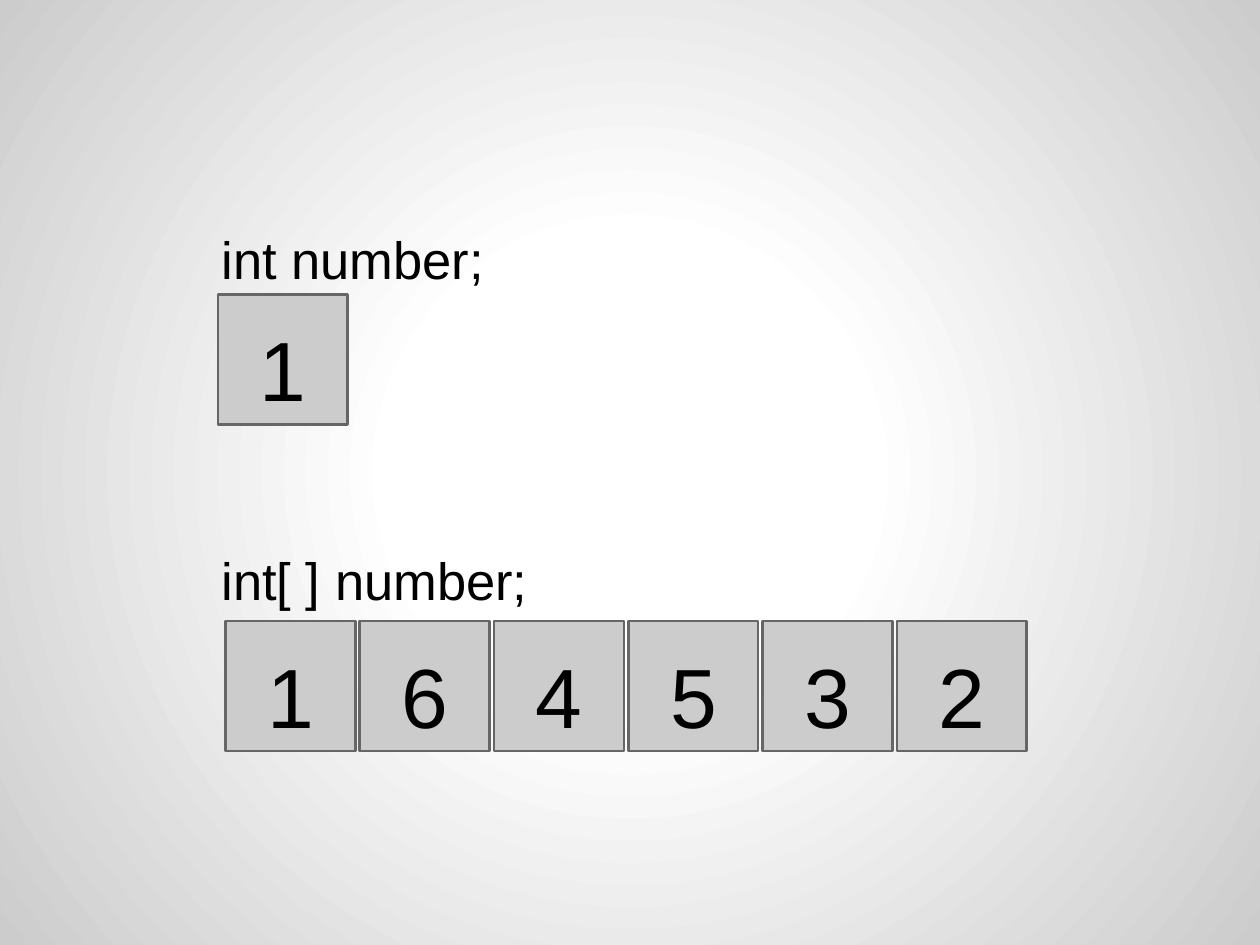
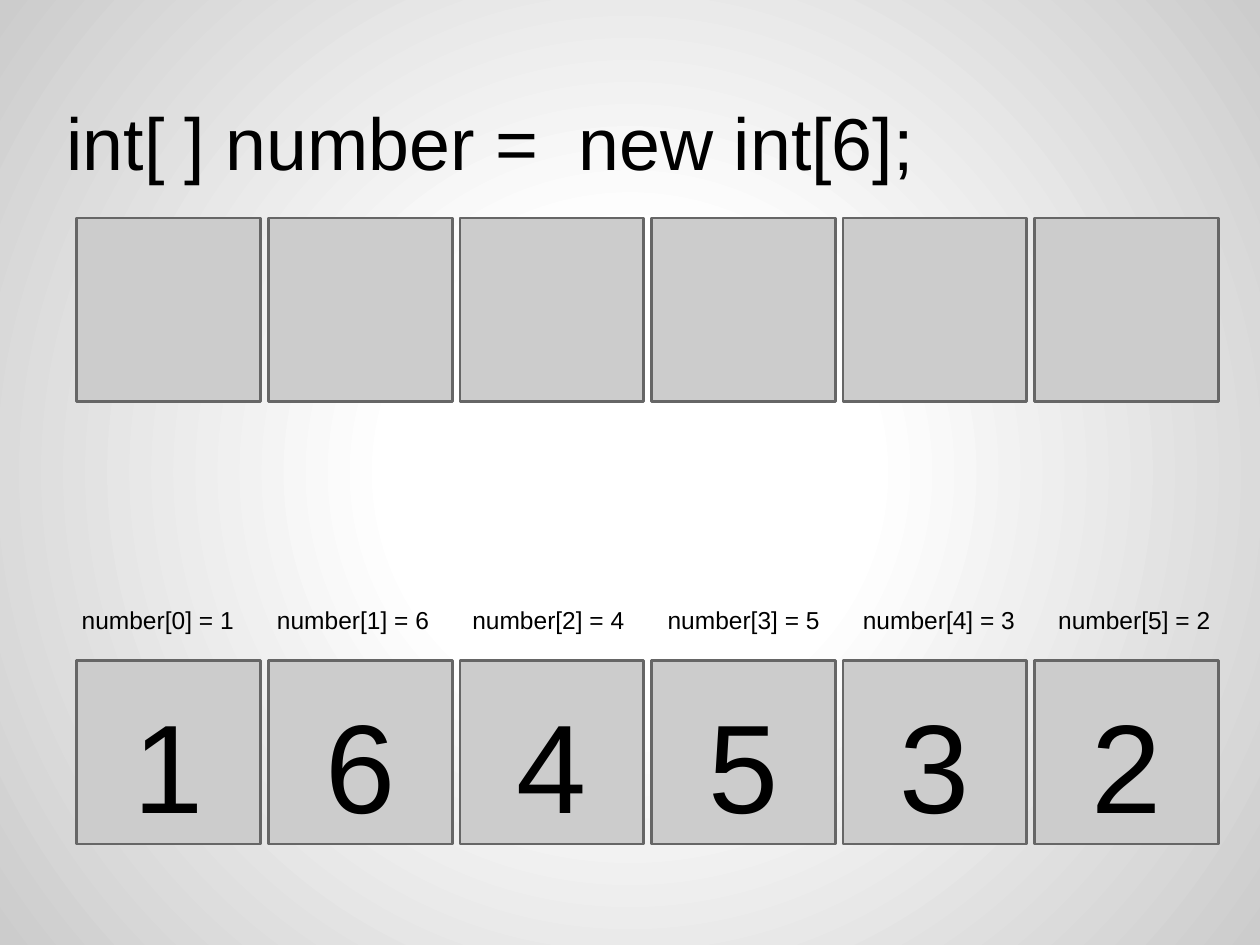
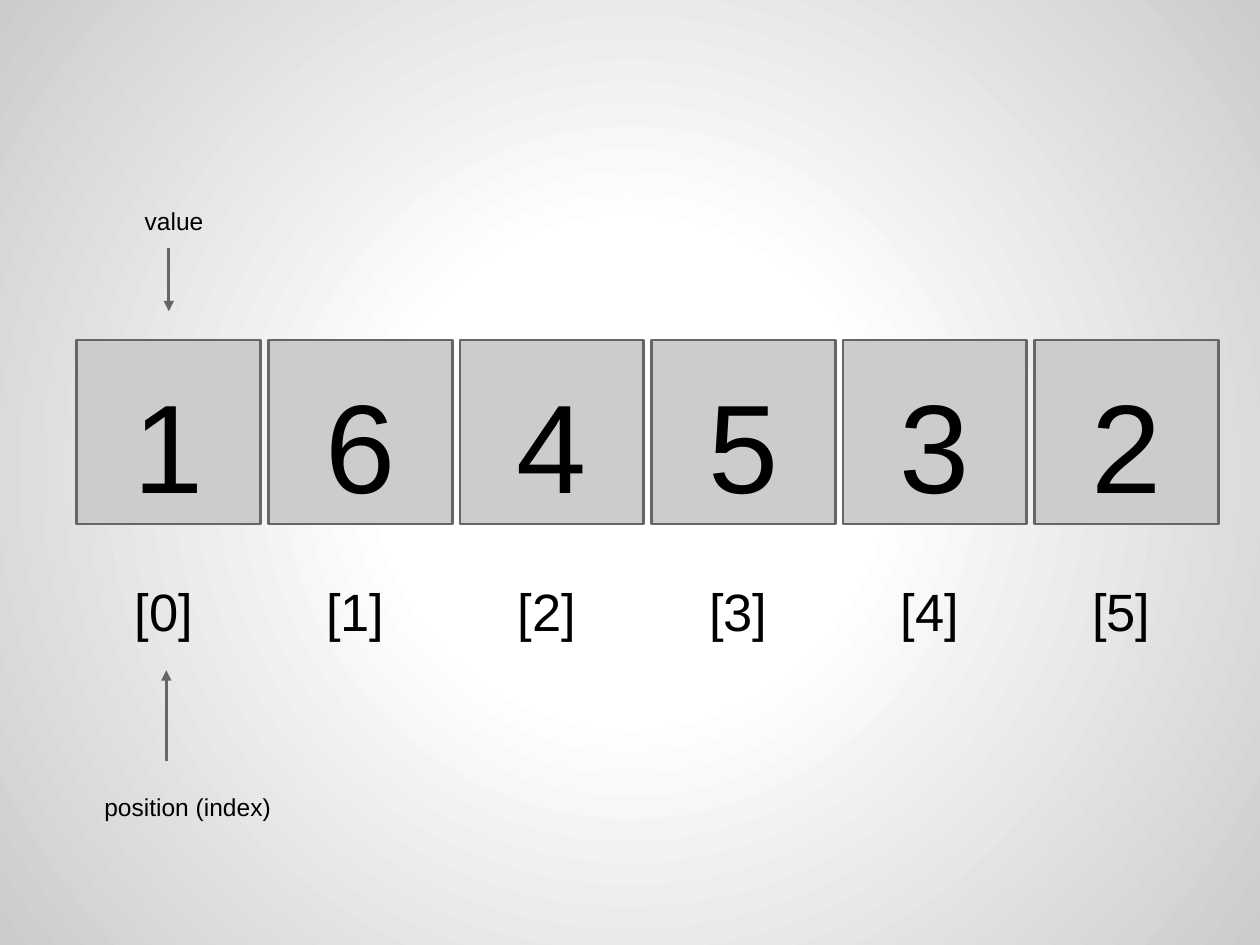
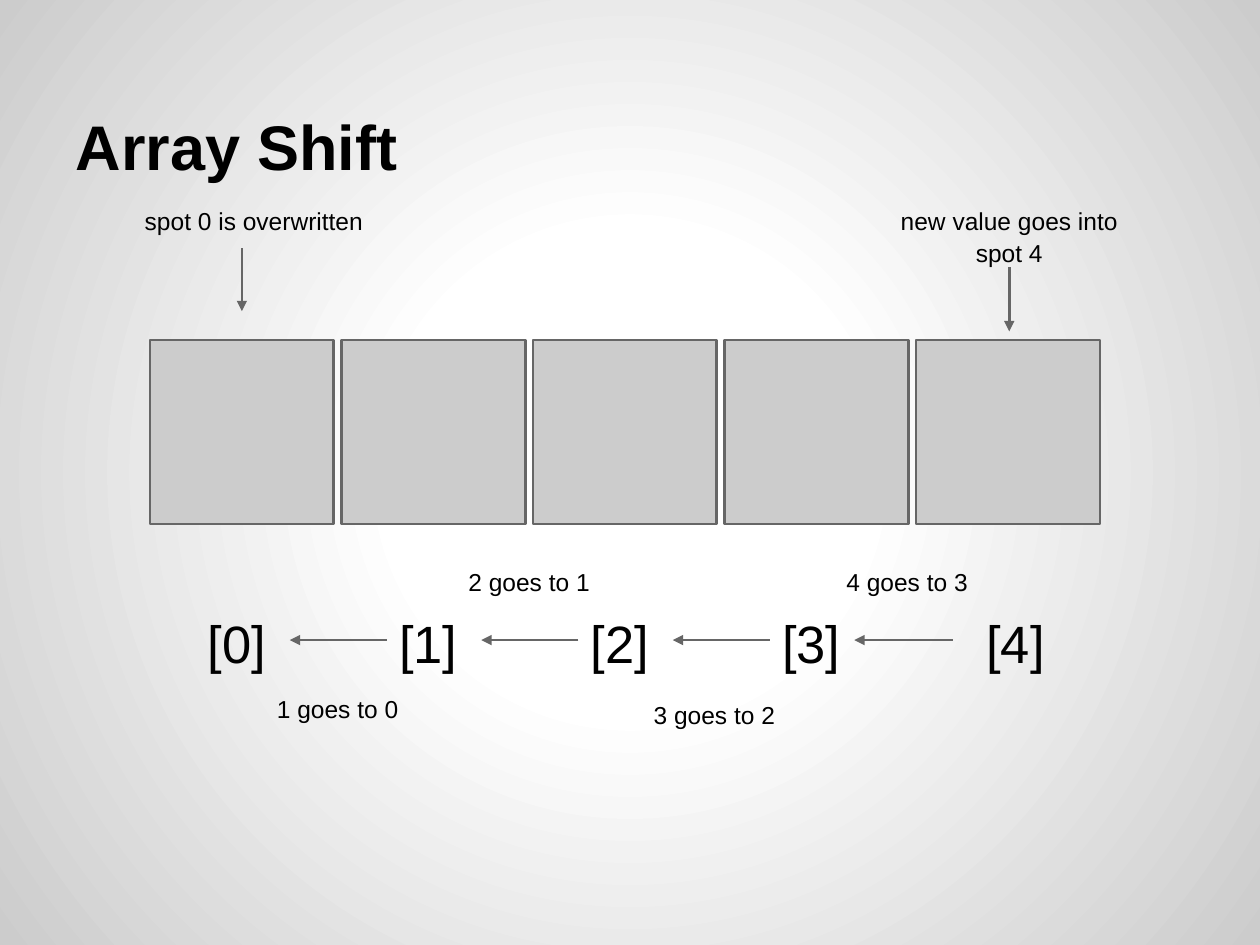
from lxml import etree
from pptx import Presentation
from pptx.dml.color import RGBColor
from pptx.enum.shapes import MSO_CONNECTOR, MSO_SHAPE
from pptx.enum.text import MSO_ANCHOR, PP_ALIGN
from pptx.oxml import parse_xml
from pptx.oxml.ns import nsdecls, qn
from pptx.util import Inches, Pt

FONT = "Arial"
BLACK, CELL_FILL, OUTLINE = "000000", "CCCCCC", "666666"
BACKDROP_STOPS = [(0, "FFFFFF"), (30, "FFFFFF"), (100, "CCCCCC")]
LINE_WIDTH = Pt(1.5)
LEFT, CENTER = PP_ALIGN.LEFT, PP_ALIGN.CENTER

TITLE_ONLY, BLANK = 5, 6
SMALL = {"side": 1.03, "size": 48, "overhang": 0.06}
LARGE = {"side": 1.46, "size": 72, "overhang": 0.09}
VALUES = ["1", "6", "4", "5", "3", "2"]
EMPTY = [""] * 6

# Rows of cells: values, cell style, first left, last left, top
# Rows of labels: texts, first left, last left, top, width, height, size, alignment
# Arrows: start x, start y, end x, end y
PAGES = [
    {
        "cells": [
            (VALUES[:1], SMALL, 1.73, 1.73, 2.34),
            (VALUES, SMALL, 1.79, 7.12, 4.93),
        ],
        "labels": [
            (["int number;"], 1.66, 1.66, 1.66, 3.26, 0.55, 30, LEFT),
            (["int[ ] number;"], 1.66, 1.66, 4.21, 3.26, 0.55, 30, LEFT),
        ],
    },
    {
        "cells": [
            (VALUES, LARGE, 0.61, 8.21, 5.24),
            (EMPTY, LARGE, 0.61, 8.21, 1.73),
        ],
        "labels": [
            (["int[ ] number =  new int[6];"], 0.43, 0.43, 0.61, 7.56, 0.79, 42, LEFT),
            ([f"number[{i}] = {value}" for i, value in enumerate(VALUES)],
             0.55, 8.3, 4.68, 1.46, 0.47, 14, LEFT),
        ],
    },
    {
        "cells": [(VALUES, LARGE, 0.61, 8.21, 2.7)],
        "labels": [
            ([f"[{i}]" for i in range(6)], 0.97, 8.57, 4.46, 0.75, 0.73, 30, LEFT),
            (["value"], 1.05, 1.05, 1.52, 1.46, 0.47, 14, LEFT),
            (["position (index)"], 0.73, 0.73, 6.17, 2.25, 0.47, 14, LEFT),
        ],
        "arrows": [(1.34, 1.97, 1.34, 2.47), (1.32, 6.04, 1.32, 5.32)],
    },
    {
        "title": "Array Shift",
        "cells": [(EMPTY[:5], LARGE, 1.19, 7.27, 2.7)],
        "labels": [
            ([f"[{i}]" for i in range(4)], 1.55, 6.11, 4.71, 0.75, 0.73, 30, LEFT),
            (["[4]"], 7.73, 7.73, 4.71, 0.75, 0.73, 30, LEFT),
            (["spot 0 is overwritten"], 1.05, 1.05, 1.52, 2.02, 0.47, 14, LEFT),
            (["new value goes into spot 4"], 7, 7, 1.52, 2.02, 0.47, 14, CENTER),
            (["1 goes to 0"], 1.95, 1.95, 5.39, 1.46, 0.47, 14, CENTER),
            (["3 goes to 2"], 4.94, 4.94, 5.44, 1.46, 0.47, 14, CENTER),
            (["2 goes to 1", "4 goes to 3"], 3.47, 6.47, 4.38, 1.46, 0.47, 14, CENTER),
        ],
        "arrows": [
            (1.92, 1.97, 1.92, 2.47),
            (8.01, 2.12, 8.01, 2.63),
            (3.07, 5.08, 2.3, 5.08),
            (4.59, 5.08, 3.82, 5.08),
            (6.11, 5.08, 5.34, 5.08),
            (7.56, 5.08, 6.78, 5.08),
        ],
    },
]


def color(hex_value):
    return RGBColor.from_string(hex_value)


def spread(items, first, last):
    """Pair each item with its left edge, evenly spaced from first to last."""
    step = (last - first) / max(len(items) - 1, 1)
    return [(item, first + i * step) for i, item in enumerate(items)]


def paint_backdrop(master):
    """Give every slide the round gradient through the master."""
    master.background.fill.gradient()
    gradient = master.element.find(".//" + qn("a:gradFill"))
    stops = "".join(
        f'<a:gs pos="{percent * 1000}"><a:srgbClr val="{tone}"/></a:gs>'
        for percent, tone in BACKDROP_STOPS)
    gradient.getparent().replace(gradient, parse_xml(
        f'<a:gradFill {nsdecls("a")} rotWithShape="1"><a:gsLst>{stops}</a:gsLst>'
        '<a:path path="circle"><a:fillToRect l="50000" t="50000" r="50000" b="50000"/>'
        '</a:path></a:gradFill>'))


def write(box, text, size, alignment, bold=False, anchor=MSO_ANCHOR.TOP):
    frame = box.text_frame
    frame_format = {"word_wrap": True, "vertical_anchor": anchor}
    for side in ("left", "top", "right", "bottom"):
        frame_format[f"margin_{side}"] = Inches(0.1)
    for name, value in frame_format.items():
        setattr(frame, name, value)
    para = frame.paragraphs[0]
    para.alignment = alignment
    para.line_spacing = 1.08
    span = para.add_run()
    span.text = text
    for name, value in {"name": FONT, "size": Pt(size), "bold": bold}.items():
        setattr(span.font, name, value)
    span.font.color.rgb = color(BLACK)


def add_label(page, text, left, top, width, height, size, alignment):
    box = page.shapes.add_textbox(*map(Inches, (left, top, width, height)))
    write(box, text, size, alignment)


def add_cell(page, value, style, left, top):
    side, overhang = style["side"], style["overhang"]
    cell = page.shapes.add_shape(
        MSO_SHAPE.RECTANGLE, *map(Inches, (left, top, side, side)))
    cell.shadow.inherit = False
    cell.fill.solid()
    cell.fill.fore_color.rgb = color(CELL_FILL)
    cell.line.color.rgb = color(OUTLINE)
    cell.line.width = LINE_WIDTH
    if value:
        add_label(page, value, left - overhang, top + 0.02,
                  side + 2 * overhang, side, style["size"], CENTER)


def add_arrow(page, *ends):
    arrow = page.shapes.add_connector(MSO_CONNECTOR.STRAIGHT, *map(Inches, ends))
    arrow.line.color.rgb = color(OUTLINE)
    arrow.line.width = LINE_WIDTH
    etree.SubElement(arrow.line._get_or_add_ln(), qn("a:tailEnd"), type="triangle")
    etree.SubElement(arrow._element.spPr, qn("a:effectLst"))


def add_title(page, text):
    title = page.shapes.title
    place = {"left": 0.5, "top": 0.3, "width": 9, "height": 1.25}
    for name, value in place.items():
        setattr(title, name, Inches(value))
    write(title, text, 36, LEFT, bold=True, anchor=MSO_ANCHOR.BOTTOM)


def build_page(deck, content):
    layout = TITLE_ONLY if "title" in content else BLANK
    page = deck.slides.add_slide(deck.slide_layouts[layout])
    if "title" in content:
        add_title(page, content["title"])
    for values, style, first, last, top in content["cells"]:
        for value, left in spread(values, first, last):
            add_cell(page, value, style, left, top)
    for texts, first, last, *layout_values in content["labels"]:
        for text, left in spread(texts, first, last):
            add_label(page, text, left, *layout_values)
    for ends in content.get("arrows", []):
        add_arrow(page, *ends)


def main():
    deck = Presentation()
    deck.slide_width, deck.slide_height = Inches(10), Inches(7.5)
    paint_backdrop(deck.slide_master)
    for content in PAGES:
        build_page(deck, content)
    deck.save("out.pptx")


if __name__ == "__main__":
    main()
